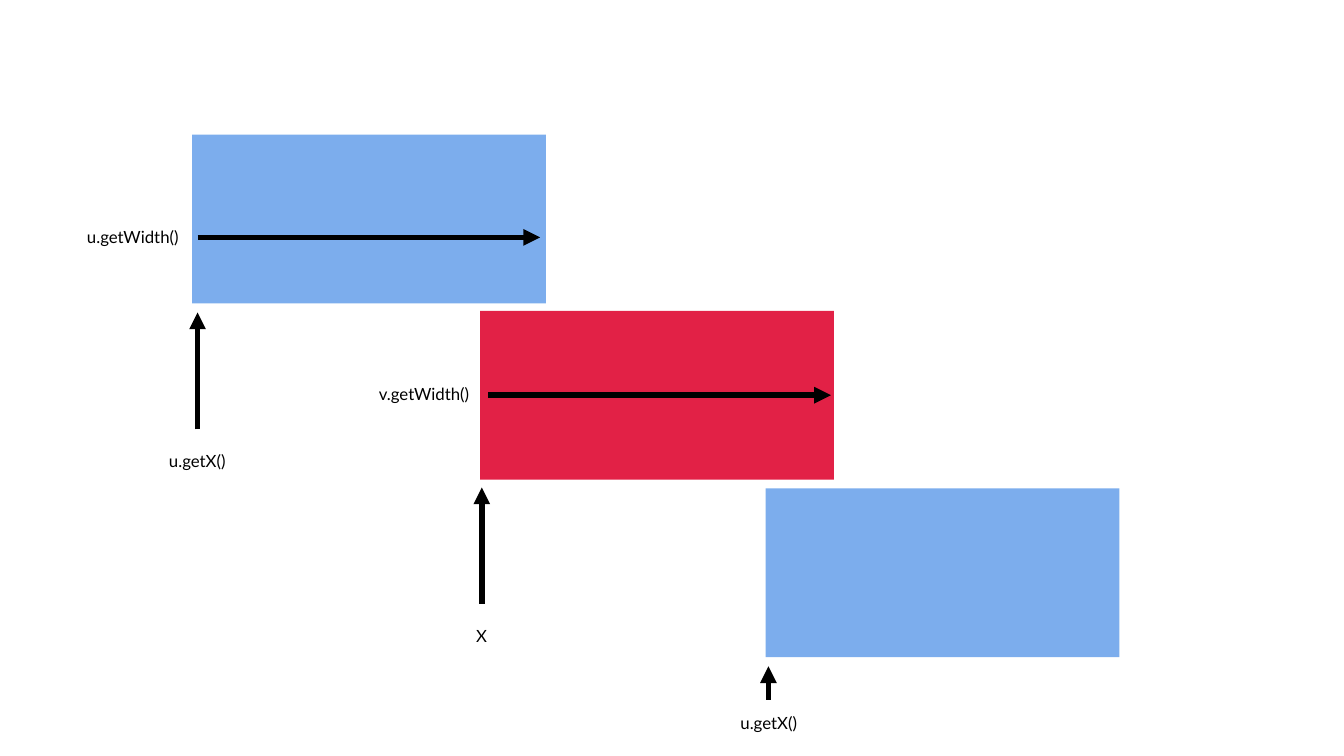
from dataclasses import dataclass

from lxml import etree
from pptx import Presentation
from pptx.dml.color import RGBColor
from pptx.enum import shapes, text
from pptx.oxml.ns import qn
from pptx.util import Inches, Pt

BLUE = RGBColor(0x7C, 0xAD, 0xED)
RED = RGBColor(0xE2, 0x21, 0x46)
BLACK = RGBColor(0, 0, 0)

# All positions and sizes are percentages of the slide's width or height
BOX_W, BOX_H = 26.32, 22.33
LABEL_H = 4.07


@dataclass
class Box:
    left: float
    top: float
    color: RGBColor


@dataclass
class Arrow:
    x1: float
    y1: float
    x2: float
    y2: float


@dataclass
class Label:
    words: str
    center_x: float
    center_y: float
    width: float


BOXES = [
    Box(14.29, 17.8, BLUE),
    Box(56.96, 64.6, BLUE),
    Box(35.73, 41.13, RED),
]
ARROWS = [
    # Left edges
    Arrow(35.85, 79.87, 35.85, 64.47),
    Arrow(14.7, 56.8, 14.7, 41.33),
    Arrow(57.18, 92.53, 57.18, 88.13),
    # Widths
    Arrow(14.7, 31.4, 40.19, 31.4),
    Arrow(36.33, 52.27, 61.83, 52.27),
]
LABELS = [
    Label("X", 35.83, 84.3, 1.39),
    Label("u.getX()", 14.68, 61.17, 5.06),
    Label("u.getX()", 57.2, 95.77, 5.06),
    Label("u.getWidth()", 9.88, 31.43, 7.69),
    Label("v.getWidth()", 31.55, 52.3, 7.54),
]

prs = Presentation()
prs.slide_width, prs.slide_height = Inches(26.67), Inches(15)
slide = prs.slides.add_slide(prs.slide_layouts[6])


def across(share: float) -> int:
    return round(prs.slide_width * share / 100)


def down(share: float) -> int:
    return round(prs.slide_height * share / 100)


def draw_box(box: Box) -> None:
    sp = slide.shapes.add_shape(
        shapes.MSO_SHAPE.RECTANGLE,
        across(box.left), down(box.top), across(BOX_W), down(BOX_H))
    sp.shadow.inherit = False
    sp.fill.solid()
    sp.fill.fore_color.rgb = box.color
    sp.line.fill.background()


def draw_arrow(arrow: Arrow) -> None:
    line = slide.shapes.add_connector(
        shapes.MSO_CONNECTOR.STRAIGHT,
        across(arrow.x1), down(arrow.y1), across(arrow.x2), down(arrow.y2))
    line.line.width = Pt(8)
    line.line.color.rgb = BLACK
    etree.SubElement(line.line._get_or_add_ln(), qn("a:tailEnd"), type="triangle")
    etree.SubElement(line._element.spPr, qn("a:effectLst"))


def write(tf, words: str, *, size: float = 24, font: str = "Lato",
          color: RGBColor = BLACK, align=text.PP_ALIGN.CENTER,
          spacing: float = 0.9) -> None:
    p = tf.paragraphs[0]
    p.alignment, p.line_spacing = align, spacing
    r = p.add_run()
    r.text = words
    r.font.size, r.font.name = Pt(size), font
    r.font.color.rgb = color


def draw_label(label: Label) -> None:
    sp = slide.shapes.add_textbox(
        across(label.center_x - label.width / 2),
        down(label.center_y - LABEL_H / 2),
        across(label.width), down(LABEL_H))
    tf = sp.text_frame
    tf.word_wrap = False
    tf.auto_size = text.MSO_AUTO_SIZE.SHAPE_TO_FIT_TEXT
    tf.vertical_anchor = text.MSO_ANCHOR.MIDDLE
    tf.margin_left = tf.margin_right = Inches(0.06)
    tf.margin_top = tf.margin_bottom = Inches(0.06)
    write(tf, label.words)


# Boxes behind, then arrows and their labels
for box in BOXES:
    draw_box(box)
for arrow in ARROWS:
    draw_arrow(arrow)
for label in LABELS:
    draw_label(label)

prs.save("out.pptx")
